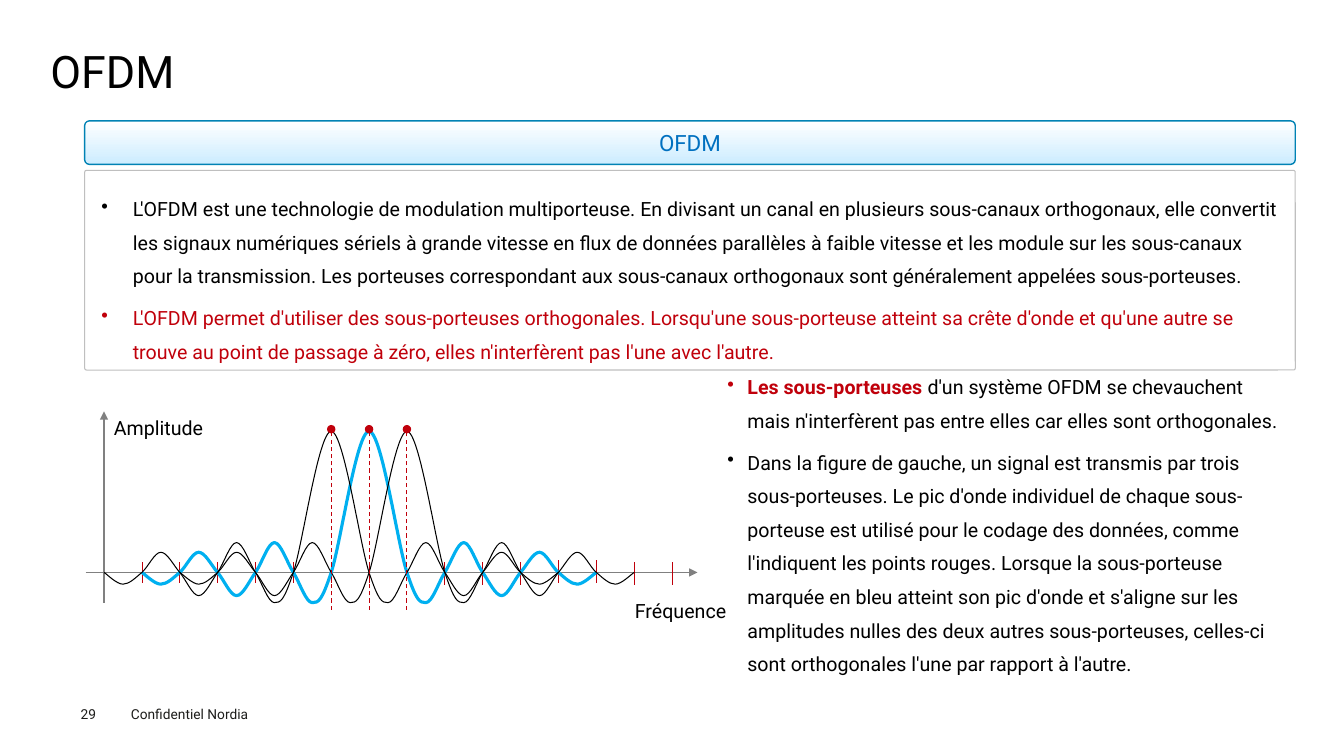
from dataclasses import dataclass
from typing import NamedTuple

from lxml.etree import SubElement
from pptx import Presentation
from pptx.dml.color import RGBColor
from pptx.enum.dml import MSO_LINE_DASH_STYLE as Dash
from pptx.enum.shapes import MSO_CONNECTOR as Connector, MSO_SHAPE as Shape
from pptx.enum.text import MSO_ANCHOR as Anchor, PP_ALIGN as Align
from pptx.oxml.ns import qn
from pptx.util import Pt


@dataclass(frozen=True)
class Theme:
    font: str = "Roboto"
    black: str = "000000"
    footer: str = "1D1D1B"
    red: str = "C0000B"
    blue: str = "0070C0"
    wave_blue: str = "00B0F0"
    banner_edge: str = "0082B4"
    banner_top: str = "FFFFFF"
    banner_bottom: str = "CCECFF"
    frame_edge: str = "BFBFBF"
    axis: str = "808080"
    title_size: float = 32
    banner_size: float = 16
    body_size: float = 14
    footer_size: float = 9.8


THEME = Theme()


class Rect(NamedTuple):
    left: float
    top: float
    width: float
    height: float


class Point(NamedTuple):
    x: float
    y: float


class Span(NamedTuple):
    text: str
    color: str = THEME.black
    bold: bool = False


class Label(NamedTuple):
    text: str
    rect: Rect
    size: float = THEME.body_size
    color: str = THEME.black
    inset: Point = Point(7.2, 3.6)
    wrap: bool = True
    line_spacing: float = 1.0


class Ticks(NamedTuple):
    steps: range
    top: float
    bottom: float


class Wave(NamedTuple):
    first_step: int
    color: str
    weight: float


ORIGIN_X, AXIS_Y, STEP = 74.3, 408.9, 27.05
PEAK_Y, MARKER_Y, MARKER_SIZE = 308.1, 306.6, 6
RISING_LOBES = [-8.4, 14.4, -16.6, 21.3, -21.6]

LABELS = [
    Label("Confidentiel Nordia", Rect(86.4, 500.4, 115.2, 19.4), THEME.footer_size, THEME.footer),
    Label("29", Rect(57.6, 504, 39.6, 11.5), THEME.footer_size, THEME.footer, Point(0, 0)),
    Label("OFDM", Rect(36, 35.3, 889.2, 38.9), THEME.title_size, inset=Point(0, 0), line_spacing=0.9),
    Label("Amplitude", Rect(74.2, 293.8, 90, 24.5)),
    Label("Fréquence", Rect(446.4, 424.1, 81.4, 24.5), wrap=False),
]

DEFINITION = [
    [Span("L'OFDM est une technologie de modulation multiporteuse. En divisant un canal en plusieurs "
          "sous-canaux orthogonaux, elle convertit les signaux numériques sériels à grande vitesse en flux "
          "de données parallèles à faible vitesse et les module sur les sous-canaux pour la transmission. "
          "Les porteuses correspondant aux sous-canaux orthogonaux sont généralement appelées sous-porteuses.")],
    [Span("L'OFDM permet d'utiliser des sous-porteuses orthogonales. Lorsqu'une sous-porteuse atteint sa "
          "crête d'onde et qu'une autre se trouve au point de passage à zéro, elles n'interfèrent pas "
          "l'une avec l'autre.", THEME.red)],
]

EXPLANATION = [
    [Span("Les sous-porteuses ", THEME.red, True),
     Span("d'un système OFDM se chevauchent mais n'interfèrent pas entre elles car elles sont orthogonales.")],
    [Span("Dans la figure de gauche, un signal est transmis par trois sous-porteuses. Le pic d'onde "
          "individuel de chaque sous-porteuse est utilisé pour le codage des données, comme l'indiquent "
          "les points rouges. Lorsque la sous-porteuse marquée en bleu atteint son pic d'onde et s'aligne "
          "sur les amplitudes nulles des deux autres sous-porteuses, celles-ci sont orthogonales l'une "
          "par rapport à l'autre.")],
]

TICKS = [
    Ticks(range(1, 8), 401.8, 416.2),
    Ticks(range(9, 12), 401.8, 417.6),
    Ticks(range(12, 14), 400.3, 416.2),
    Ticks(range(14, 16), 401.8, 417.6),
]

WAVES = [
    Wave(1, THEME.wave_blue, 2.25),
    Wave(0, THEME.black, 0.75),
    Wave(2, THEME.black, 0.75),
]


def rgb(color: str) -> RGBColor:
    return RGBColor.from_string(color)


def lengths(rect: Rect) -> list:
    return [Pt(value) for value in rect]


def style_font(font, size: float, color: str, bold: bool = False) -> None:
    font.name, font.size, font.bold = THEME.font, Pt(size), bold
    font.color.rgb = rgb(color)


def set_insets(frame, inset: Point) -> None:
    frame.margin_left = frame.margin_right = Pt(inset.x)
    frame.margin_top = frame.margin_bottom = Pt(inset.y)


def add_label(page, label: Label) -> None:
    frame = page.shapes.add_textbox(*lengths(label.rect)).text_frame
    frame.word_wrap = label.wrap
    set_insets(frame, label.inset)
    para = frame.paragraphs[0]
    para.text, para.line_spacing = label.text, label.line_spacing
    style_font(para.font, label.size, label.color)


def fill_bullets(frame, items: list[list[Span]], indent: float) -> None:
    frame.word_wrap = True
    frame.vertical_anchor = Anchor.TOP
    for index, spans in enumerate(items):
        para = frame.add_paragraph() if index else frame.paragraphs[0]
        para.alignment = Align.LEFT
        para.line_spacing, para.space_after = Pt(24), Pt(6)
        properties = para._p.get_or_add_pPr()
        properties.set("marL", str(Pt(indent)))
        properties.set("indent", str(-Pt(indent)))
        bullet_color = SubElement(properties, qn("a:buClr"))
        SubElement(bullet_color, qn("a:srgbClr"), val=spans[0].color)
        SubElement(properties, qn("a:buChar"), char="•")
        style_font(para.font, THEME.body_size, spans[0].color)
        for span in spans:
            run = para.add_run()
            run.text = span.text
            if len(spans) > 1:
                style_font(run.font, THEME.body_size, span.color, span.bold)


def add_rounded_box(page, rect: Rect, corner: float, edge: str, weight: float):
    box = page.shapes.add_shape(Shape.ROUNDED_RECTANGLE, *lengths(rect))
    box.adjustments[0] = corner
    box.shadow.inherit = False
    box.line.color.rgb, box.line.width = rgb(edge), Pt(weight)
    return box


def add_banner(page) -> None:
    box = add_rounded_box(page, Rect(60.5, 86.4, 864.7, 31), 0.106, THEME.banner_edge, 1)
    box.fill.gradient()
    box.fill.gradient_angle = 270
    for position, color in enumerate((THEME.banner_top, THEME.banner_bottom)):
        stop = box.fill.gradient_stops[position]
        stop.position, stop.color.rgb = position, rgb(color)
    box.text_frame.vertical_anchor = Anchor.MIDDLE
    para = box.text_frame.paragraphs[0]
    para.text, para.alignment = "OFDM", Align.CENTER
    style_font(para.font, THEME.banner_size, THEME.blue)


def add_line(page, start: Point, end: Point, color: str, weight: float,
             dashed: bool = False, arrow: bool = False) -> None:
    line = page.shapes.add_connector(Connector.STRAIGHT, *map(Pt, (*start, *end)))
    line.line.color.rgb, line.line.width = rgb(color), Pt(weight)
    if dashed:
        line.line.dash_style = Dash.DASH
    if arrow:
        SubElement(line.line._get_or_add_ln(), qn("a:tailEnd"), type="triangle")
    SubElement(line._element.spPr, qn("a:effectLst"))


def wave_anchors(first_step: int) -> list[Point]:
    lobes = [(index + 0.5, height) for index, height in enumerate(RISING_LOBES)]
    lobes += [(12 - step, height) for step, height in lobes] + [(6, AXIS_Y - PEAK_Y)]
    zeros = [(step, 0) for step in range(13) if step != 6]
    return [Point(ORIGIN_X + (first_step + step) * STEP, AXIS_Y - height)
            for step, height in sorted(lobes + zeros)]


def smooth_outline(curve) -> None:
    outline = next(curve._element.iter(qn("a:path")))
    anchors = [Point(int(pt.get("x")), int(pt.get("y"))) for pt in outline.iter(qn("a:pt"))]
    for segment in outline.findall(qn("a:lnTo")):
        outline.remove(segment)
    padded = [anchors[0], *anchors, anchors[-1]]
    for before, start, end, after in zip(padded, padded[1:], padded[2:], padded[3:]):
        leaving = Point(start.x + (end.x - before.x) // 6, start.y + (end.y - before.y) // 6)
        arriving = Point(end.x - (after.x - start.x) // 6, end.y - (after.y - start.y) // 6)
        bend = SubElement(outline, qn("a:cubicBezTo"))
        for point in (leaving, arriving, end):
            SubElement(bend, qn("a:pt"), x=str(point.x), y=str(point.y))


def add_wave(page, wave: Wave) -> None:
    points = [(Pt(x), Pt(y)) for x, y in wave_anchors(wave.first_step)]
    builder = page.shapes.build_freeform(*points[0])
    builder.add_line_segments(points[1:], close=False)
    curve = builder.convert_to_shape()
    smooth_outline(curve)
    curve.shadow.inherit = False
    curve.fill.background()
    curve.line.color.rgb, curve.line.width = rgb(wave.color), Pt(wave.weight)


def add_peak(page, x: float) -> None:
    add_line(page, Point(x, 435.6), Point(x, PEAK_Y), THEME.red, 0.75, dashed=True)
    half = MARKER_SIZE / 2
    marker = page.shapes.add_shape(Shape.FLOWCHART_CONNECTOR, *lengths(
        Rect(x - half, MARKER_Y - half, MARKER_SIZE, MARKER_SIZE)))
    marker.shadow.inherit = False
    marker.fill.solid()
    marker.fill.fore_color.rgb = rgb(THEME.red)
    marker.line.fill.background()


def main() -> None:
    deck = Presentation()
    deck.slide_width, deck.slide_height = Pt(960), Pt(540)
    page = deck.slides.add_slide(deck.slide_layouts[6])
    add_banner(page)
    frame_box = add_rounded_box(page, Rect(60.5, 121.7, 864.7, 142.6), 0.009, THEME.frame_edge, 0.75)
    frame_box.fill.background()
    set_insets(frame_box.text_frame, Point(11.5, 11.5))
    fill_bullets(frame_box.text_frame, DEFINITION, 22.5)
    explanation = page.shapes.add_textbox(*lengths(Rect(512.6, 257, 412.6, 231.1)))
    fill_bullets(explanation.text_frame, EXPLANATION, 14.2)
    for label in LABELS:
        add_label(page, label)
    add_line(page, Point(ORIGIN_X, 430.6), Point(ORIGIN_X, 293.8), THEME.axis, 0.75, arrow=True)
    add_line(page, Point(61.2, AXIS_Y), Point(498.2, AXIS_Y), THEME.axis, 0.75, arrow=True)
    for ticks in TICKS:
        for step in ticks.steps:
            x = ORIGIN_X + step * STEP
            add_line(page, Point(x, ticks.top), Point(x, ticks.bottom), THEME.red, 0.5)
    for wave in WAVES:
        add_wave(page, wave)
    for wave in WAVES:
        add_peak(page, ORIGIN_X + (wave.first_step + 6) * STEP)
    deck.save("out.pptx")


if __name__ == "__main__":
    main()
